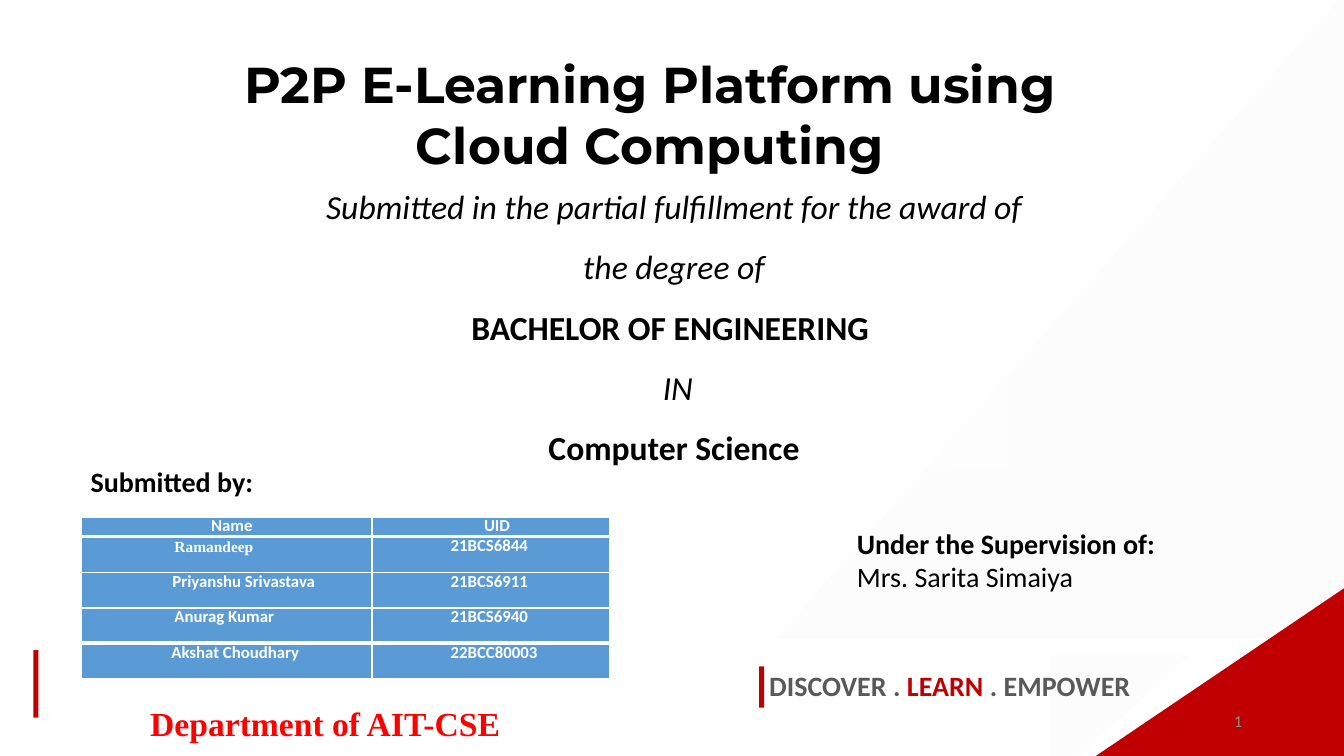
from dataclasses import dataclass

from lxml import etree
from pptx import Presentation
from pptx import util as u
from pptx.dml import color
from pptx.enum import shapes, text
from pptx.oxml import ns, parse_xml

RED, GREY, BLACK, WHITE = "C00000", "595959", "000000", "FFFFFF"
CELL = "5B9BD5"
ALIGN, ANCHOR = text.PP_ALIGN, text.MSO_ANCHOR
RECT = shapes.MSO_SHAPE.RECTANGLE
WEDGE = shapes.MSO_SHAPE.RIGHT_TRIANGLE
Box = tuple[float, float, float, float]


@dataclass
class Block:
    box: Box
    kind: shapes.MSO_SHAPE
    fill: str
    flip: str = ""
    alpha: int = 100


@dataclass
class Line:
    words: str
    size: float = 20
    bold: bool = False
    italic: bool = False
    hue: str = BLACK
    font: str = "Calibri"
    align: ALIGN = ALIGN.LEFT
    space: float = 1.0


@dataclass
class Label:
    box: Box
    lines: list[Line]
    wrap: bool = True


@dataclass
class Student:
    name: str
    uid: str
    indent: float
    size: float = 12
    font: str = "Calibri"


BACK = [
    Block((0.33, 6.45, 0.05, 0.67), RECT, RED),
    Block((10.4, 6.5, 1.41, 1.27), WEDGE, "F2F2F2", "flipV", 17),
    Block((7.7, -0.07, 5.63, 6.4), WEDGE, "F2F2F2", "flipH", 17),
]
FRONT = [
    Block((10.75, 5.83, 2.59, 1.75), WEDGE, RED, "flipH"),
    Block((7.53, 6.61, 0.05, 0.41), RECT, RED),
]
TITLE = Line("P2P E-Learning Platform using Cloud Computing", 36, True,
             font="Montserrat", align=ALIGN.CENTER)
AWARD = [
    Line(words, 24, bold, not bold, align=ALIGN.CENTER, space=1.5)
    for words, bold in [
        ("Submitted in the partial fulfillment for the award of the degree of", False),
        ("BACHELOR OF ENGINEERING ", True),
        (" IN", False),
        ("Computer Science", True),
    ]
]
LABELS = [
    Label((0.01, 6.97, 6.43, 0.47),
          [Line("Department of AIT-CSE", 24, True, hue="FF0000",
                font="Times New Roman", align=ALIGN.CENTER, space=0.9)]),
    Label((0.8, 4.56, 1.9, 0.44), [Line("Submitted by:", bold=True)], False),
    Label((8.4, 5.17, 3.21, 0.77),
          [Line("Under the Supervision of:", bold=True), Line("Mrs. Sarita Simaiya")], False),
]
MOTTO = [("DISCOVER . ", GREY), ("LEARN", RED), (" . EMPOWER", GREY)]
TEAM = [
    Student("Ramandeep", "21BCS6844", 0.92, 11, "Times New Roman"),
    Student("Priyanshu Srivastava", "21BCS6911", 0.9),
    Student("Anurag Kumar", "21BCS6940", 0.92),
    Student("Akshat Choudhary", "22BCC80003", 0.89),
]


def rgb(code: str) -> color.RGBColor:
    return color.RGBColor.from_string(code)


def place(shape, box: Box) -> None:
    shape.left, shape.top, shape.width, shape.height = map(u.Inches, box)


def style(para, line: Line) -> None:
    para.alignment, para.line_spacing = line.align, line.space
    para.space_before = u.Pt(0)
    font = para.font
    font.name, font.size = line.font, u.Pt(line.size)
    font.bold, font.italic = line.bold, line.italic
    font.color.rgb = rgb(line.hue)


def write(frame, lines: list[Line]) -> None:
    frame.text = "\n".join(line.words for line in lines)
    for para, line in zip(frame.paragraphs, lines):
        style(para, line)


def draw(slide, block: Block) -> None:
    shape = slide.shapes.add_shape(block.kind, *map(u.Inches, block.box))
    shape.shadow.inherit = False
    shape.line.fill.background()
    shape.fill.solid()
    shape.fill.fore_color.rgb = rgb(block.fill)
    if block.flip:
        shape.element.spPr.xfrm.set(block.flip, "1")
    if block.alpha < 100:
        tint = shape.element.spPr.find(".//" + ns.qn("a:srgbClr"))
        etree.SubElement(tint, ns.qn("a:alpha")).set("val", str(block.alpha * 1000))


def label(slide, item: Label):
    frame = slide.shapes.add_textbox(*map(u.Inches, item.box)).text_frame
    frame.word_wrap = item.wrap
    write(frame, item.lines)
    return frame


def hold(slide, index: int, box: Box, lines: list[Line], anchor: ANCHOR):
    holder = slide.placeholders[index]
    place(holder, box)
    frame = holder.text_frame
    frame.auto_size, frame.vertical_anchor = text.MSO_AUTO_SIZE.NONE, anchor
    frame.word_wrap = True
    write(frame, lines)
    slide.shapes.element.append(holder.element)
    return holder


def fade(shape) -> None:
    stops = [(3, 0), (15, 34), (51, 100), (94, 34), (100, 0)]
    marks = "".join(
        f'<a:gs pos="{pos * 1000}"><a:srgbClr val="{WHITE}">'
        f'<a:alpha val="{alpha * 1000}"/></a:srgbClr></a:gs>' for pos, alpha in stops)
    grad = parse_xml(f'<a:gradFill {ns.nsdecls("a")}><a:gsLst>{marks}</a:gsLst>'
                     '<a:lin ang="0" scaled="0"/></a:gradFill>')
    shape.element.spPr.append(grad)


def fill(cell, line: Line, indent: float, top: int, base: int) -> None:
    cell.margin_left = cell.margin_right = cell.margin_top = cell.margin_bottom = 0
    props = cell._tc.get_or_add_tcPr()
    for side, width in zip("LRTB", (1, 1, top, base)):
        props.append(parse_xml(
            f'<a:ln{side} {ns.nsdecls("a")} w="{u.Pt(width)}"><a:solidFill>'
            f'<a:srgbClr val="{WHITE}"/></a:solidFill></a:ln{side}>'))
    cell.fill.solid()
    cell.fill.fore_color.rgb = rgb(CELL)
    write(cell.text_frame, [line])
    para = cell.text_frame.paragraphs[0]
    para.line_spacing = u.Pt(13.8)
    para._p.get_or_add_pPr().set("marL", str(u.Inches(indent)))


def roster(slide) -> None:
    count = len(TEAM) + 1
    table = slide.shapes.add_table(count, 2, *map(u.Inches, (0.81, 5.13, 5.24, 1.6))).table
    for col, width in zip(table.columns, (2.88, 2.36)):
        col.width = u.Inches(width)
    for row, height in zip(table.rows, (0.19, 0.36, 0.35, 0.35, 0.35)):
        row.height = u.Inches(height)
    heads = [(Line(words, 12, True, hue=WHITE, align=ALIGN.CENTER), indent)
             for words, indent in (("Name", 0.1), ("UID", 0.12))]
    rows = [[(Line(who.name, who.size, True, hue=WHITE, font=who.font), who.indent),
             (Line(who.uid, 12, True, hue=WHITE), 0.78)] for who in TEAM]
    for r, row in enumerate([heads] + rows):
        top = 3 if r in (1, count - 1) else 1
        base = 3 if r in (0, count - 2) else 1
        for c, (line, indent) in enumerate(row):
            fill(table.cell(r, c), line, indent, top, base)


def main() -> None:
    deck = Presentation()
    deck.slide_width, deck.slide_height = u.Inches(13.33), u.Inches(7.5)
    slide = deck.slides.add_slide(deck.slide_layouts[0])

    # Backdrop, title and award
    for block in BACK:
        draw(slide, block)
    fade(hold(slide, 1, (2.95, 1.61, 7.47, 3.06), AWARD, ANCHOR.MIDDLE))
    hold(slide, 0, (1.81, 0.48, 9.27, 1.31), [TITLE], ANCHOR.TOP)

    # Corner, labels and motto
    for block in FRONT:
        draw(slide, block)
    for item in LABELS:
        label(slide, item)
    motto = label(slide, Label((7.53, 6.58, 5.39, 0.44), [Line("", bold=True)]))
    for words, hue in MOTTO:
        run = motto.paragraphs[0].add_run()
        run.text = words
        run.font.color.rgb = rgb(hue)

    # Slide number
    page = label(slide, Label((9.42, 6.95, 3, 0.4),
                              [Line("1", 12, hue="8C8C8C", align=ALIGN.RIGHT)]))
    page.vertical_anchor = ANCHOR.MIDDLE

    # Students
    roster(slide)
    deck.save("out.pptx")


if __name__ == "__main__":
    main()
